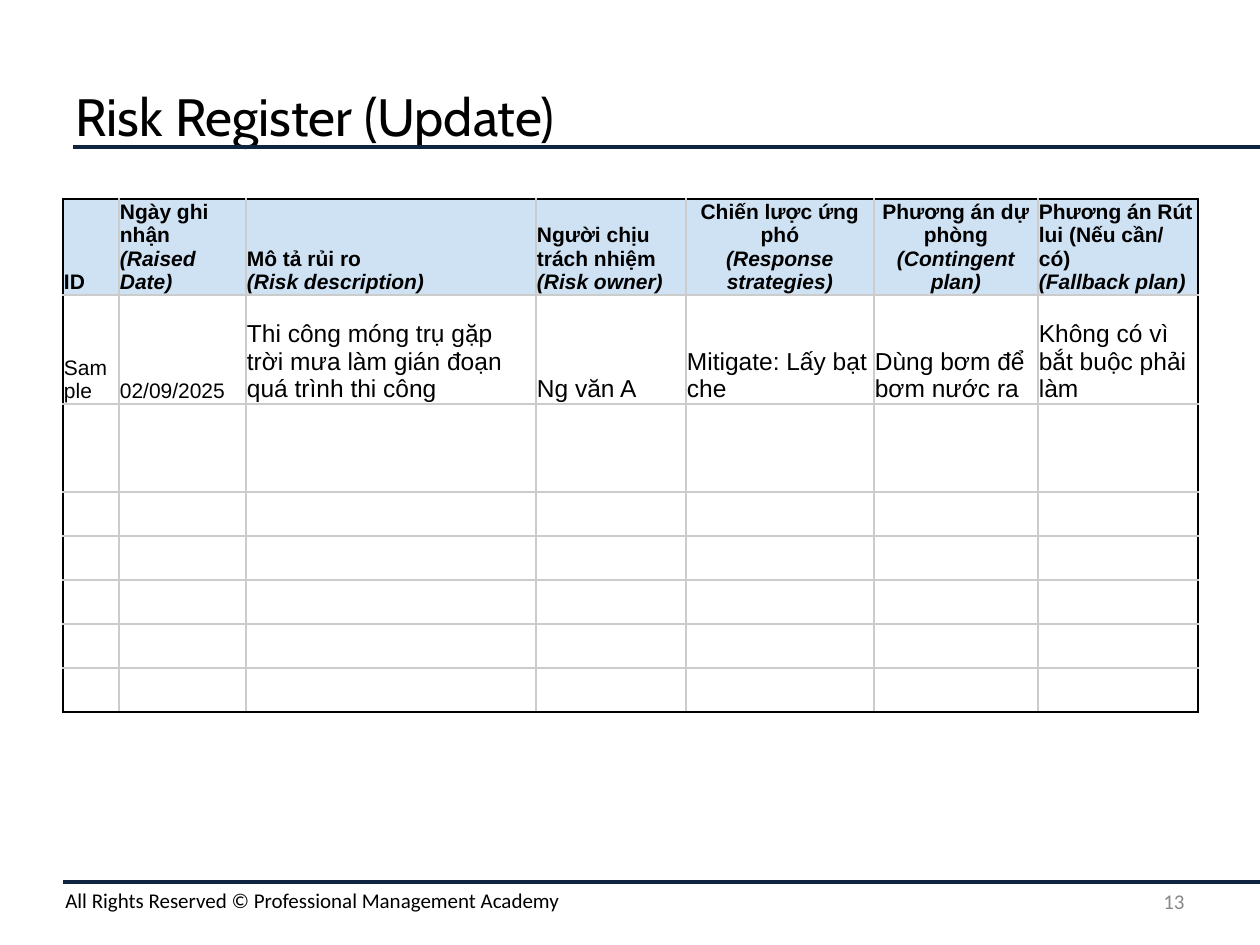
from lxml.etree import SubElement
from pptx import Presentation
from pptx.dml.color import RGBColor
from pptx.enum.shapes import MSO_CONNECTOR
from pptx.enum.text import MSO_ANCHOR, PP_ALIGN
from pptx.oxml import parse_xml
from pptx.oxml.ns import nsdecls, qn
from pptx.util import Emu, Pt

# Content
TITLE = "Risk Register (Update)"
FOOTER = "All Rights Reserved © Professional Management Academy"
PAGE = "13"
HEADERS = [  # Vietnamese label, English label, alignment
    ("ID", "", PP_ALIGN.LEFT),
    ("Ngày ghi nhận", "(Raised Date)", PP_ALIGN.LEFT),
    ("Mô tả rủi ro", "(Risk description)", PP_ALIGN.LEFT),
    ("Người chịu trách nhiệm", "(Risk owner)", PP_ALIGN.LEFT),
    ("Chiến lược ứng phó", "(Response strategies)", PP_ALIGN.CENTER),
    ("Phương án dự phòng", "(Contingent plan)", PP_ALIGN.CENTER),
    ("Phương án Rút lui (Nếu cần/ có)", "(Fallback plan)", PP_ALIGN.LEFT),
]
SAMPLE = [  # text, size
    ("Sample", 12),
    ("02/09/2025", 12),
    ("Thi công móng trụ gặp trời mưa làm gián đoạn quá trình thi công", 14),
    ("Ng văn A", 14),
    ("Mitigate: Lấy bạt che", 14),
    ("Dùng bơm để bơm nước ra", 14),
    ("Không có vì bắt buộc phải làm", 14),
]
COLS = [56, 127, 290, 150, 188, 164, 160]
ROWS = [43, 109, 88] + [44] * 5
RULES = [(73, 147), (63, 882)]  # left, y
NAVY, BLACK, GREY, PALE = "0F243E", "000000", "CCCCCC", "CFE2F3"
SLIDE_W, SLIDE_H = 1260, 945


def px(n):
    return Emu(n * 914400 // 126)


def rgb(value):
    return RGBColor.from_string(value)


def write(p, text, size=12, font="Arial", color=BLACK, bold=False,
          italic=False, align=PP_ALIGN.LEFT):
    p.alignment = align
    r = p.add_run()
    r.text = text
    f = r.font
    f.size, f.name, f.bold, f.italic = Pt(size), font, bold, italic
    f.color.rgb = rgb(color)


def text_box(s, box, text, anchor, **fmt):
    tf = s.shapes.add_textbox(*map(px, box)).text_frame
    tf.word_wrap = True
    tf.vertical_anchor = anchor
    write(tf.paragraphs[0], text, **fmt)


def set_borders(cell, colors):
    tc_pr = cell._tc.get_or_add_tcPr()
    for i, (side, color) in enumerate(colors.items()):
        ln = parse_xml(f'<a:ln{side} {nsdecls("a")} w="12700"><a:solidFill>'
                       f'<a:srgbClr val="{color}"/></a:solidFill></a:ln{side}>')
        tc_pr.insert(i, ln)


prs = Presentation()
prs.slide_width, prs.slide_height = px(SLIDE_W), px(SLIDE_H)
s = prs.slides.add_slide(prs.slide_layouts[5])

# Rules under the title and above the footer
for left, y in RULES:
    line = s.shapes.add_connector(MSO_CONNECTOR.STRAIGHT, px(left), px(y), px(SLIDE_W), px(y))
    line.line.color.rgb = rgb(NAVY)
    line.line.width = Pt(2)
    SubElement(line._element.spPr, qn("a:effectLst"))

# Title
title = s.shapes.title
title.left, title.top, title.width, title.height = map(px, (63, 63, 1134, 105))
title.text_frame.vertical_anchor = MSO_ANCHOR.MIDDLE
write(title.text_frame.paragraphs[0], TITLE, size=30, font="Cabin")

# Risk table
table = s.shapes.add_table(len(ROWS), len(COLS), px(63), px(199),
                           px(sum(COLS)), px(sum(ROWS))).table
table.first_row = table.horz_banding = False
for col, width in zip(table.columns, COLS):
    col.width = px(width)
for row, height in zip(table.rows, ROWS):
    row.height = px(height)

last_row, last_col = len(ROWS) - 1, len(COLS) - 1
for i, row in enumerate(table.rows):
    for j, cell in enumerate(row.cells):
        cell.margin_left = cell.margin_right = cell.margin_top = cell.margin_bottom = px(1)
        cell.vertical_anchor = MSO_ANCHOR.BOTTOM
        if i == 0:
            cell.fill.solid()
            cell.fill.fore_color.rgb = rgb(PALE)
        else:
            cell.fill.background()
        outer = {"L": j == 0, "R": j == last_col, "T": i == 0, "B": i == last_row}
        set_borders(cell, {side: BLACK if edge else GREY for side, edge in outer.items()})

for j, (label, english, align) in enumerate(HEADERS):
    p = table.cell(0, j).text_frame.paragraphs[0]
    write(p, label, bold=True, align=align)
    if english:
        p.add_line_break()
        write(p, english, bold=True, italic=True, align=align)
for j, (text, size) in enumerate(SAMPLE):
    write(table.cell(1, j).text_frame.paragraphs[0], text, size=size)

# Footer and page number
text_box(s, (53, 881, 1207, 38), FOOTER, MSO_ANCHOR.TOP, font="Calibri")
text_box(s, (903, 876, 294, 50), PAGE, MSO_ANCHOR.MIDDLE, font="Calibri",
         color="888888", align=PP_ALIGN.RIGHT)

prs.save("out.pptx")
